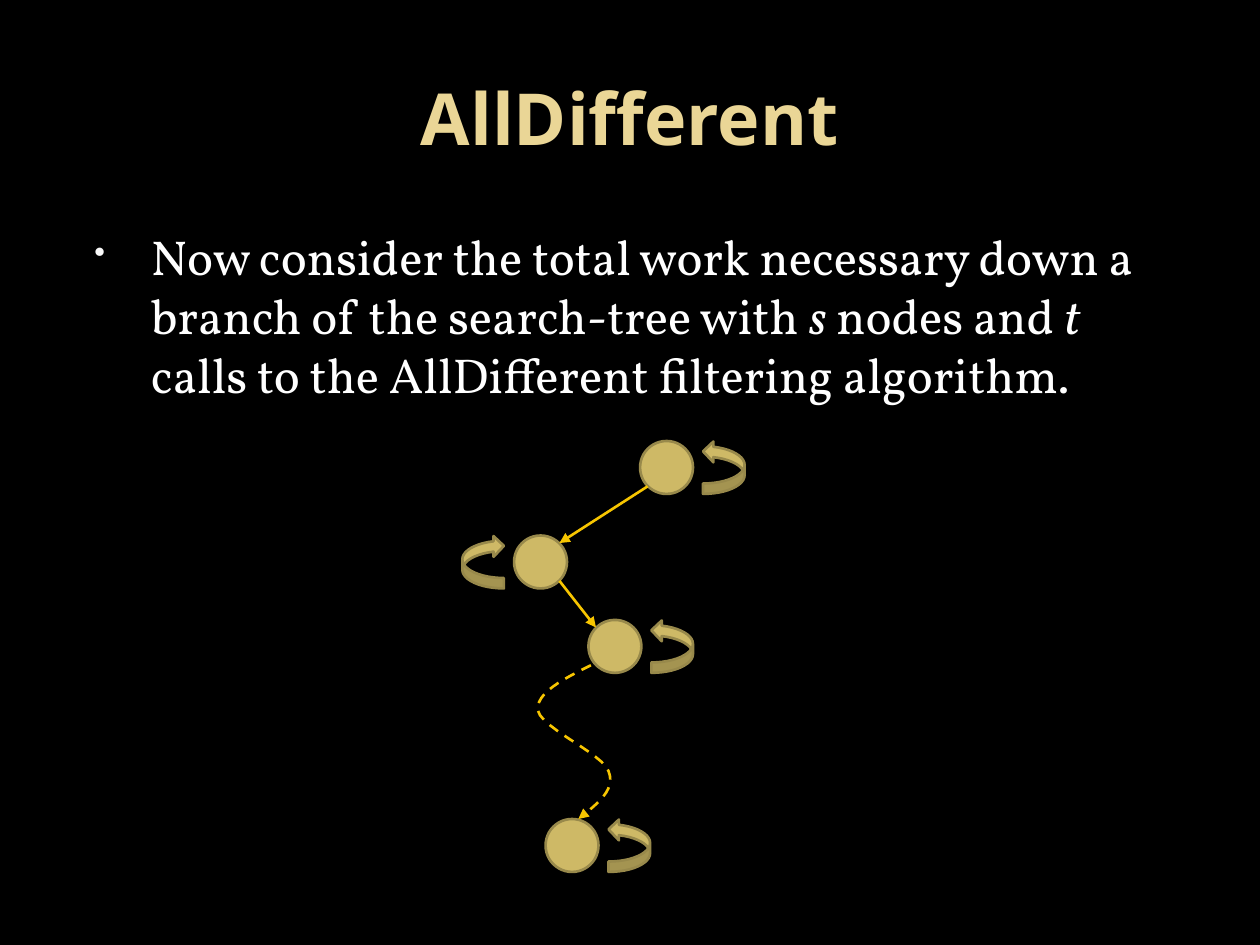
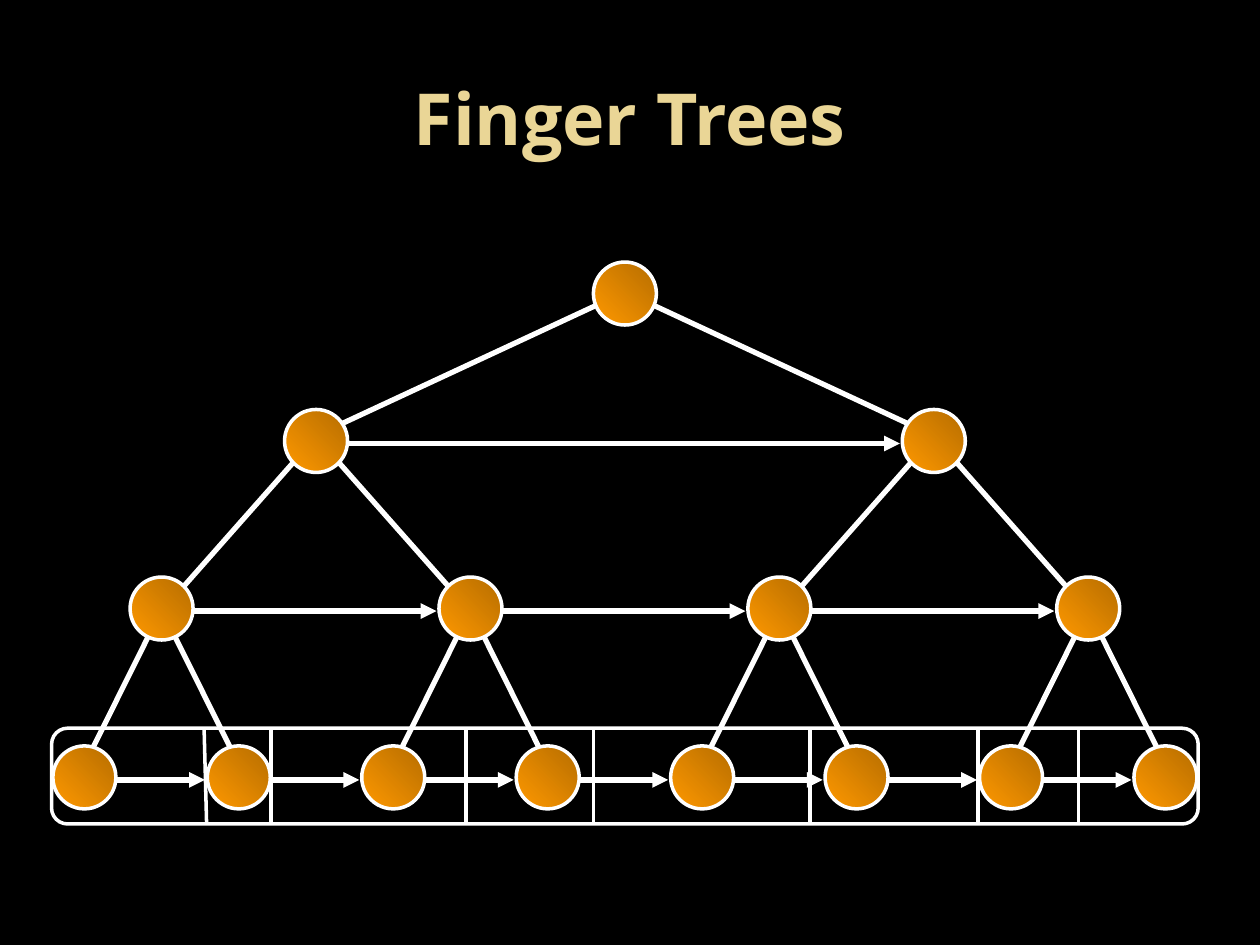
"""Build two slides on AllDifferent search branches and finger trees."""
from lxml.etree import SubElement
from pptx import Presentation
from pptx.dml.color import RGBColor
from pptx.enum.dml import MSO_LINE
from pptx.enum.shapes import MSO_CONNECTOR, MSO_SHAPE
from pptx.enum.text import MSO_ANCHOR, MSO_AUTO_SIZE, PP_ALIGN
from pptx.oxml.ns import qn
from pptx.util import Inches, Pt

COLORS = {name: RGBColor.from_string(value) for name, value in {
    "background": "000000",
    "title": "EAD696",
    "text": "FFFFFF",
    "bullet": "F9F9F9",
    "node": "CEB966",
    "node_edge": "98894B",
    "branch": "F7C500",
    "finger_light": "FF9900",
    "finger_dark": "B66D00",
}.items()}


def add_arrowhead(shape):
    SubElement(shape.element.spPr.find(qn("a:ln")), qn("a:tailEnd"), type="triangle")


def add_line(slide, start, end, color, width, arrow=False):
    connector = slide.shapes.add_connector(
        MSO_CONNECTOR.STRAIGHT, *[Inches(value) for value in (*start, *end)])
    connector.line.color.rgb = COLORS[color]
    connector.line.width = Pt(width)
    SubElement(connector.element.spPr, qn("a:effectLst"))
    if arrow:
        add_arrowhead(connector)


prs = Presentation()
prs.slide_width, prs.slide_height = Inches(10), Inches(7.5)
backdrop = prs.slide_master.background.fill
backdrop.solid()
backdrop.fore_color.rgb = COLORS["background"]

slides = []
for heading in ("AllDifferent", "Finger Trees"):
    slide = prs.slides.add_slide(prs.slide_layouts[5])
    title = slide.shapes.title
    title.left, title.top = Inches(0.5), Inches(0.3)
    title.width, title.height = Inches(9), Inches(1.25)
    title.text_frame.auto_size = MSO_AUTO_SIZE.NONE
    title.text_frame.vertical_anchor = MSO_ANCHOR.MIDDLE
    title.text_frame.text = heading
    paragraph = title.text_frame.paragraphs[0]
    paragraph.alignment = PP_ALIGN.CENTER
    paragraph.font.name = "Open Sans"
    paragraph.font.size = Pt(41)
    paragraph.font.bold = True
    paragraph.font.color.rgb = COLORS["title"]
    slides.append(slide)
branch_slide, finger_slide = slides

statement = branch_slide.shapes.add_textbox(
    Inches(0.5), Inches(1.75), Inches(9), Inches(5.15)).text_frame
statement.word_wrap = True
paragraph = statement.paragraphs[0]
properties = paragraph._p.get_or_add_pPr()
properties.set("marL", str(Inches(0.6)))
properties.set("indent", str(Inches(-0.45)))
bullet_color = SubElement(properties, qn("a:buClr"))
SubElement(bullet_color, qn("a:srgbClr"), val=str(COLORS["bullet"]))
SubElement(properties, qn("a:buSzPct"), val="65000")
SubElement(properties, qn("a:buChar"), char="•")
paragraph.font.name = "Vollkorn"
paragraph.font.size = Pt(28)
paragraph.font.color.rgb = COLORS["text"]
for words, italic in (
    ("Now consider the total work necessary down a branch of the search-tree with ", False),
    ("s", True),
    (" nodes and ", False),
    ("t", True),
    (" calls to the AllDifferent filtering algorithm.", False),
):
    run = paragraph.add_run()
    run.text = words
    run.font.italic = italic

for left, top, loop_offset in (
    (5.08, 3.5, 0.5), (4.08, 4.25, -0.41), (4.67, 4.92, 0.5), (4.33, 6.5, 0.5),
):
    search_node = branch_slide.shapes.add_shape(
        MSO_SHAPE.OVAL, Inches(left), Inches(top), Inches(0.42), Inches(0.42))
    filter_loop = branch_slide.shapes.add_shape(
        MSO_SHAPE.CURVED_LEFT_ARROW,
        Inches(left + loop_offset), Inches(top), Inches(0.33), Inches(0.42))
    transform = filter_loop.element.spPr.find(qn("a:xfrm"))
    transform.set("flipV", "1")
    if loop_offset < 0:
        transform.set("flipH", "1")
    for shape in (search_node, filter_loop):
        shape.shadow.inherit = False
        shape.fill.solid()
        shape.fill.fore_color.rgb = COLORS["node"]
        shape.line.color.rgb = COLORS["node_edge"]
        shape.line.width = Pt(1.5)

add_line(branch_slide, (5.14, 3.86), (4.44, 4.31), "branch", 1.5, arrow=True)
add_line(branch_slide, (4.44, 4.61), (4.73, 4.98), "branch", 1.5, arrow=True)

curves = (
    ((4.69, 5.28), (4.47, 5.39), (4.25, 5.5), (4.27, 5.64)),
    ((4.27, 5.64), (4.3, 5.78), (4.78, 5.98), (4.83, 6.12)),
    ((4.83, 6.12), (4.89, 6.27), (4.74, 6.38), (4.59, 6.5)),
)
steps = 12
bends = []
for curve in curves:
    for step in range(1, steps + 1):
        t = step / steps
        weights = ((1 - t) ** 3, 3 * t * (1 - t) ** 2, 3 * t ** 2 * (1 - t), t ** 3)
        bends.append([
            Inches(sum(weight * point[axis] for weight, point in zip(weights, curve)))
            for axis in (0, 1)])
branch_start = [Inches(value) for value in curves[0][0]]
outline = branch_slide.shapes.build_freeform(*branch_start)
outline.add_line_segments(bends, close=False)
skipped_nodes = outline.convert_to_shape()
skipped_nodes.shadow.inherit = False
skipped_nodes.fill.background()
skipped_nodes.line.color.rgb = COLORS["branch"]
skipped_nodes.line.width = Pt(1.5)
skipped_nodes.line.dash_style = MSO_LINE.DASH
add_arrowhead(skipped_nodes)

radius = 0.25
leaf_step = 8.58 / 7
levels = [[(0.67 + leaf_step * leaf, 6.17) for leaf in range(8)]]
for center_y in (4.83, 3.5, 2.33):
    below = levels[0]
    levels.insert(0, [((left[0] + right[0]) / 2, center_y)
                      for left, right in zip(below[::2], below[1::2])])

for level in levels:
    for x, y in level:
        finger_node = finger_slide.shapes.add_shape(
            MSO_SHAPE.OVAL, Inches(x - radius), Inches(y - radius),
            Inches(2 * radius), Inches(2 * radius))
        finger_node.shadow.inherit = False
        finger_node.fill.gradient()
        finger_node.fill.gradient_angle = 45
        for stop, position, shade in zip(
                finger_node.fill.gradient_stops, (0, 1), ("finger_light", "finger_dark")):
            stop.position = position
            stop.color.rgb = COLORS[shade]
        finger_node.line.color.rgb = COLORS["text"]
        finger_node.line.width = Pt(2)

edge_insets = (
    ((0.22, 0.09), (0.21, 0.14)),
    ((0.18, 0.17), (0.17, 0.17)),
    ((0.11, 0.23), (0.07, 0.24)),
)
for parents, children, insets in zip(levels, levels[1:], edge_insets):
    (parent_dx, parent_dy), (child_dx, child_dy) = insets
    for index, (x, y) in enumerate(children):
        parent_x, parent_y = parents[index // 2]
        side = 1 if index % 2 else -1
        add_line(finger_slide, (parent_x + side * parent_dx, parent_y + parent_dy),
                 (x - side * child_dx, y - child_dy), "text", 3)
    for (x, y), (next_x, _) in zip(children, children[1:]):
        add_line(finger_slide, (x + 0.26, y + 0.02), (next_x - 0.27, y + 0.02),
                 "text", 3, arrow=True)

leaf_band = finger_slide.shapes.add_shape(
    MSO_SHAPE.FLOWCHART_ALTERNATE_PROCESS,
    Inches(0.41), Inches(5.78), Inches(9.1), Inches(0.76))
leaf_band.shadow.inherit = False
leaf_band.fill.background()
leaf_band.line.color.rgb = COLORS["text"]
leaf_band.line.width = Pt(2)
for top_x, bottom_x in (
    (1.62, 1.64), (2.15, 2.15), (3.7, 3.7), (4.71, 4.71),
    (6.43, 6.43), (7.76, 7.76), (8.56, 8.56),
):
    add_line(finger_slide, (top_x, 5.78), (bottom_x, 6.54), "text", 2)

prs.save("out.pptx")
